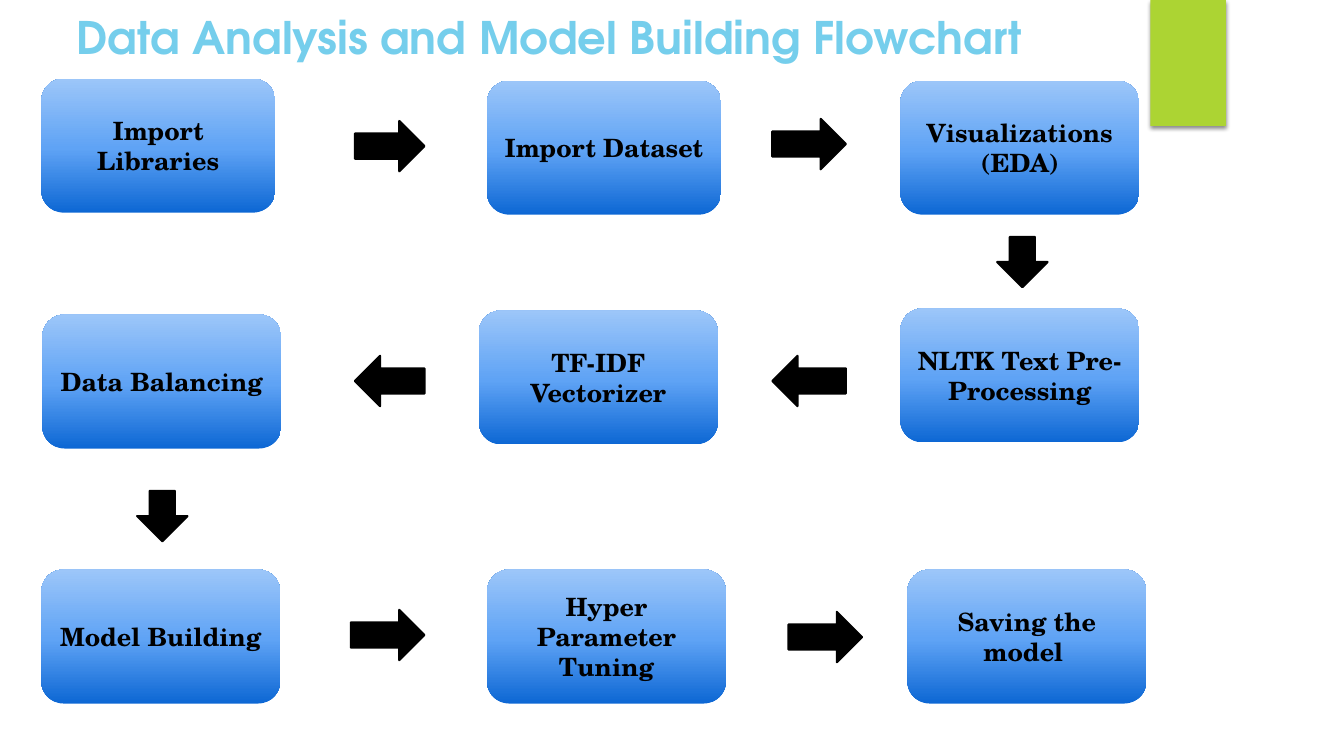
"""Build a one-slide flowchart of data analysis and model building."""
import pptx
import pptx.dml.color
import pptx.enum.shapes
import pptx.enum.text
import pptx.oxml
import pptx.oxml.ns
import pptx.util

Inches = pptx.util.Inches
SHAPE = pptx.enum.shapes.MSO_SHAPE
CENTER = pptx.enum.text.PP_ALIGN.CENTER
MIDDLE = pptx.enum.text.MSO_ANCHOR.MIDDLE

TITLE = "Data Analysis and Model Building Flowchart"
TITLE_BOX = (0, 0.05, 10.9, 0.94)
TAB_BOX = (11.41, 0, 0.75, 1.25)
STEP_HEIGHT = 1.33
STEPS = [
    ("Import Libraries", 0.41, 0.78, 2.32),
    ("Import Dataset", 4.83, 0.8, 2.32),
    ("Visualizations\n(EDA)", 8.93, 0.8, 2.37),
    ("NLTK Text Pre-Processing", 8.93, 3.06, 2.37),
    ("TF-IDF Vectorizer", 4.75, 3.08, 2.37),
    ("Data Balancing", 0.42, 3.12, 2.37),
    ("Model Building", 0.41, 5.65, 2.37),
    ("Hyper Parameter Tuning", 4.83, 5.65, 2.37),
    ("Saving the model ", 9, 5.65, 2.37),
]
ARROW_HEIGHT = 0.5
ARROWS = [
    (SHAPE.RIGHT_ARROW, 3.52, 1.2, 0.69),
    (SHAPE.RIGHT_ARROW, 7.66, 1.18, 0.73),
    (SHAPE.DOWN_ARROW, 9.89, 2.35, 0.5),
    (SHAPE.LEFT_ARROW, 7.66, 3.53, 0.73),
    (SHAPE.LEFT_ARROW, 3.52, 3.53, 0.69),
    (SHAPE.DOWN_ARROW, 1.36, 4.87, 0.5),
    (SHAPE.RIGHT_ARROW, 3.48, 6.05, 0.73),
    (SHAPE.RIGHT_ARROW, 7.82, 6.07, 0.73),
]
THEME = {
    "title": ("TeX Gyre Adventor", 32, "75CEEC"),
    "step": ("TeX Gyre Schola", 18, "000000"),
    "step_stops": [(0, "0D67D4"), (48, "5FA3F5"), (100, "9CC6F9")],
    "step_angle": 270,
    "arrow": "000000",
    "arrow_line": 1.5,
    "tab": "ACD433",
}


def rgb(value):
    return pptx.dml.color.RGBColor.from_string(value)


def write(frame, text, style):
    frame.word_wrap = True
    frame.text = text
    family, size, color = THEME[style]
    for paragraph in frame.paragraphs:
        paragraph.alignment = CENTER
        paragraph.font.name = family
        paragraph.font.size = pptx.util.Pt(size)
        paragraph.font.bold = True
        paragraph.font.color.rgb = rgb(color)


def add_block(slide, preset, box, color=None):
    block = slide.shapes.add_shape(preset, *map(Inches, box))
    block.shadow.inherit = False
    block.line.fill.background()
    if color:
        block.fill.solid()
        block.fill.fore_color.rgb = rgb(color)
    return block


def fill_gradient(block, stops, angle):
    block.fill.gradient()
    gradient = block.fill._xPr.find(pptx.oxml.ns.qn("a:gradFill"))
    stop_xml = "".join(
        f'<a:gs pos="{place * 1000}"><a:srgbClr val="{color}"/></a:gs>'
        for place, color in stops
    )
    gradient.getparent().replace(gradient, pptx.oxml.parse_xml(
        f'<a:gradFill {pptx.oxml.ns.nsdecls("a")} rotWithShape="1">'
        f'<a:gsLst>{stop_xml}</a:gsLst>'
        f'<a:lin ang="{angle * 60000}" scaled="0"/></a:gradFill>'
    ))


def add_drop_shadow(block):
    effects = block._element.spPr.find(pptx.oxml.ns.qn("a:effectLst"))
    effects.append(pptx.oxml.parse_xml(
        f'<a:outerShdw {pptx.oxml.ns.nsdecls("a")} blurRad="{pptx.util.Pt(3)}" '
        f'dist="{pptx.util.Pt(2)}" dir="5400000" rotWithShape="0">'
        '<a:srgbClr val="000000"><a:alpha val="45000"/></a:srgbClr></a:outerShdw>'
    ))


def main():
    deck = pptx.Presentation()
    deck.slide_width, deck.slide_height = Inches(13.33), Inches(7.5)
    slide = deck.slides.add_slide(deck.slide_layouts[6])

    tab = add_block(slide, SHAPE.RECTANGLE, TAB_BOX, THEME["tab"])
    add_drop_shadow(tab)

    title = slide.shapes.add_textbox(*map(Inches, TITLE_BOX))
    write(title.text_frame, TITLE, "title")

    for text, left, top, width in STEPS:
        step = add_block(slide, SHAPE.FLOWCHART_ALTERNATE_PROCESS,
                         (left, top, width, STEP_HEIGHT))
        fill_gradient(step, THEME["step_stops"], THEME["step_angle"])
        step.text_frame.vertical_anchor = MIDDLE
        write(step.text_frame, text, "step")

    for preset, left, top, width in ARROWS:
        arrow = add_block(slide, preset, (left, top, width, ARROW_HEIGHT), THEME["arrow"])
        arrow.line.color.rgb = rgb(THEME["arrow"])
        arrow.line.width = pptx.util.Pt(THEME["arrow_line"])

    deck.save("out.pptx")


if __name__ == "__main__":
    main()
